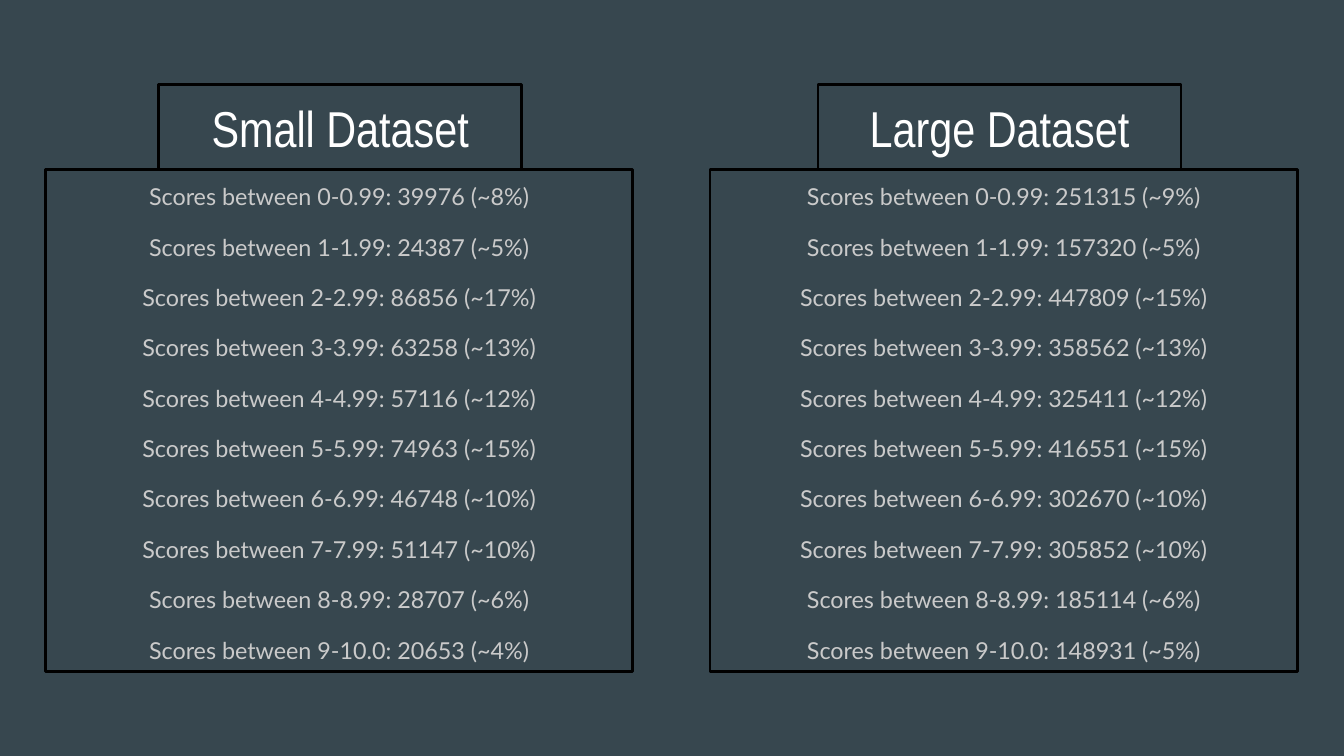
from dataclasses import dataclass

from pptx import Presentation
from pptx.dml.color import RGBColor
from pptx.enum.text import MSO_ANCHOR, MSO_AUTO_SIZE, PP_ALIGN
from pptx.util import Cm, Pt

CENTER = PP_ALIGN.CENTER
TOP, MIDDLE = MSO_ANCHOR.TOP, MSO_ANCHOR.MIDDLE
NO_AUTOFIT = MSO_AUTO_SIZE.NONE
TITLE_ONLY = 5


@dataclass(frozen=True)
class Theme:
    background = RGBColor(0x37, 0x47, 0x4F)
    border = RGBColor(0x00, 0x00, 0x00)
    heading = RGBColor(0xFF, 0xFF, 0xFF)
    score = RGBColor(0xCA, 0xCA, 0xCA)
    heading_font = "Arial Narrow"
    score_font = "Lato"
    heading_size = Pt(27)
    score_size = Pt(12.5)
    score_gap = Pt(12)
    border_width = Pt(1.5)


theme = Theme()


def fill_box(box, lines, anchor, font, size, color):
    """Outline the box and write one centred paragraph per line."""
    box.line.color.rgb = theme.border
    box.line.width = theme.border_width
    frame = box.text_frame
    frame.word_wrap = True
    frame.auto_size = NO_AUTOFIT
    frame.vertical_anchor = anchor
    frame.margin_left = frame.margin_right = Cm(0.25)
    frame.margin_top = frame.margin_bottom = Cm(0.25)
    frame.text = "\n".join(lines)
    for index, paragraph in enumerate(frame.paragraphs):
        paragraph.alignment = CENTER
        paragraph.space_before = theme.score_gap if index else Pt(0)
        paragraph.font.name = font
        paragraph.font.size = size
        paragraph.font.color.rgb = color


score_ranges = [f"{low}-{low}.99" for low in range(9)] + ["9-10.0"]

# Heading, heading left, panel left, (count, percent) per score range
datasets = [
    ("Small Dataset", Cm(3), Cm(0.86), [
        (39976, 8), (24387, 5), (86856, 17), (63258, 13), (57116, 12),
        (74963, 15), (46748, 10), (51147, 10), (28707, 6), (20653, 4),
    ]),
    ("Large Dataset", Cm(15.46), Cm(13.42), [
        (251315, 9), (157320, 5), (447809, 15), (358562, 13), (325411, 12),
        (416551, 15), (302670, 10), (305852, 10), (185114, 6), (148931, 5),
    ]),
]

heading_top, heading_width, heading_height = Cm(1.6), Cm(6.86), Cm(1.6)
panel_top = heading_top + heading_height
panel_width, panel_height = Cm(11.1), Cm(9.5)

presentation = Presentation()
presentation.slide_width = Cm(25.4)
presentation.slide_height = Cm(14.29)
slide = presentation.slides.add_slide(presentation.slide_layouts[TITLE_ONLY])
slide.background.fill.solid()
slide.background.fill.fore_color.rgb = theme.background

for position, (name, heading_left, panel_left, scores) in enumerate(datasets):
    # The first heading is the slide title
    if position == 0:
        heading = slide.shapes.title
        heading.left, heading.top = heading_left, heading_top
        heading.width, heading.height = heading_width, heading_height
    else:
        heading = slide.shapes.add_textbox(
            heading_left, heading_top, heading_width, heading_height)
    fill_box(heading, [name], MIDDLE,
             theme.heading_font, theme.heading_size, theme.heading)

    score_lines = [
        f"Scores between {score_range}: {count} (~{percent}%)"
        for score_range, (count, percent) in zip(score_ranges, scores)
    ]
    panel = slide.shapes.add_textbox(
        panel_left, panel_top, panel_width, panel_height)
    fill_box(panel, score_lines, TOP,
             theme.score_font, theme.score_size, theme.score)

presentation.save("out.pptx")
